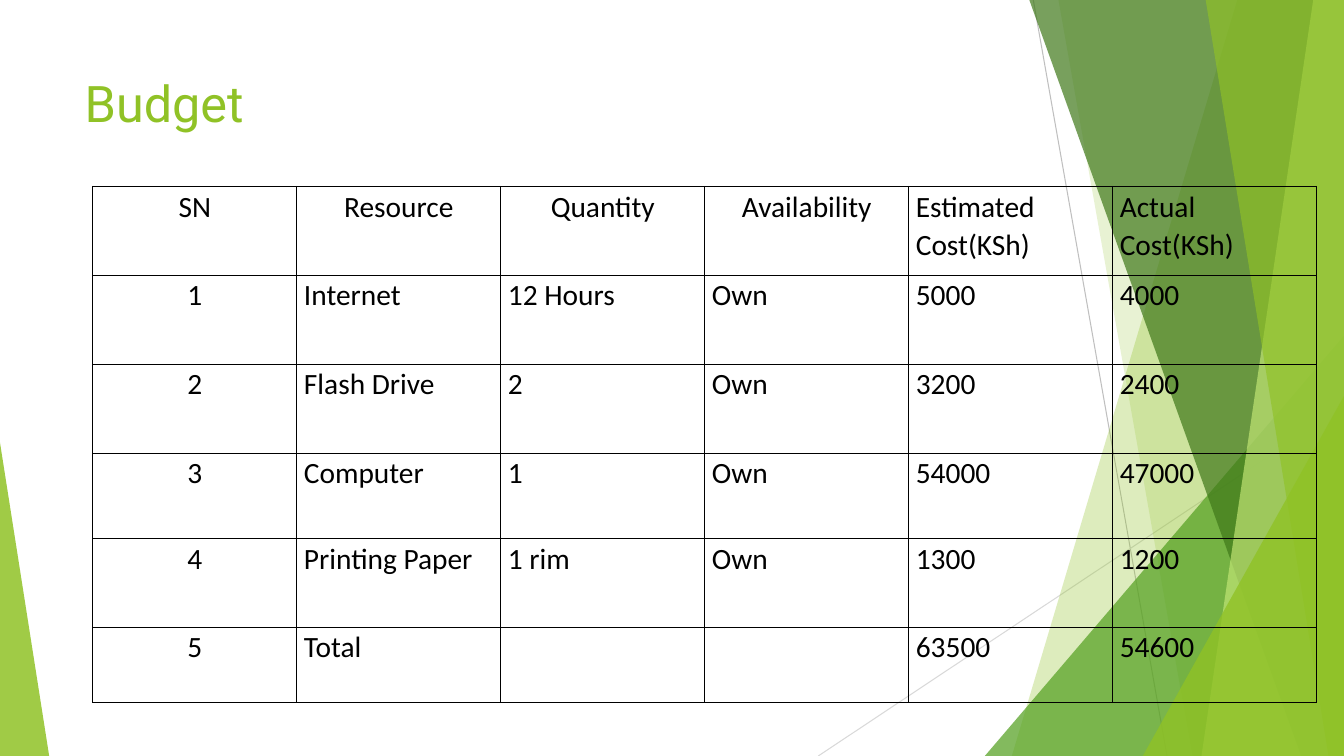
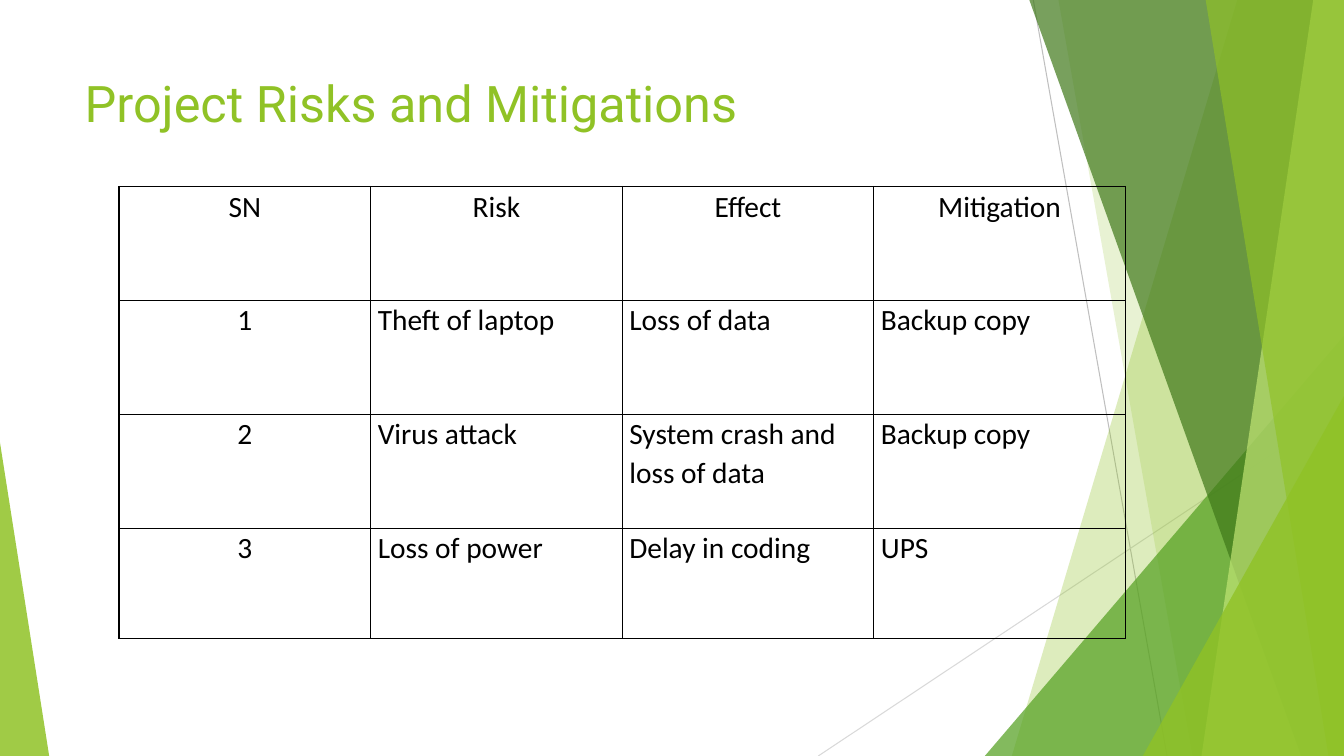
"""Build the budget and project risk slides with a shared green facet design."""
from lxml import etree
from pptx import Presentation
from pptx.dml.color import RGBColor
from pptx.enum.shapes import MSO_CONNECTOR, MSO_SHAPE
from pptx.enum.text import MSO_ANCHOR, PP_ALIGN
from pptx.oxml.ns import qn
from pptx.util import Cm, Pt

TRIANGLE = MSO_SHAPE.ISOSCELES_TRIANGLE
STRAIGHT = MSO_CONNECTOR.STRAIGHT
LEFT, CENTER = PP_ALIGN.LEFT, PP_ALIGN.CENTER
TOP = MSO_ANCHOR.TOP

LIME = RGBColor(0x90, 0xC2, 0x26)
GREEN = RGBColor(0x54, 0xA0, 0x21)
FOREST = RGBColor(0x3F, 0x78, 0x19)
PALE = RGBColor(0xC0, 0xE4, 0x74)
GREY = RGBColor(0xBF, 0xBF, 0xBF)
LIGHT_GREY = RGBColor(0xD9, 0xD9, 0xD9)
BLACK = RGBColor(0, 0, 0)

WIDTH, HEIGHT = 33.87, 19.05
BAND_TOP = -0.03
TABLE_TOP = 4.7

TITLE_BOX = {"left": Cm(1.88), "top": Cm(1.7), "width": Cm(23.88), "height": Cm(3.66)}
TITLE_FONT = {"name": "Roboto", "size": Pt(36), "bold": False}
CELL_FONT = {"name": "Calibri", "size": Pt(21), "bold": False}
CELL_BOX = {"margin_left": Cm(0.18), "margin_right": Cm(0.18),
            "margin_top": 0, "margin_bottom": 0, "vertical_anchor": TOP}

THIN_LINES = [
    (GREY, 26.04, 0, 29.41, HEIGHT),
    (LIGHT_GREY, WIDTH, 10.24, 20.62, HEIGHT),
]
FACETS = [
    ("band", LIME, 30, (31.19, 25.5)),
    ("band", LIME, 20, (26.67, 30.05)),
    ("triangle", GREEN, 72, (24.82, 8.46, 9.05, 1)),
    ("band", FOREST, 70, (25.93, 32.79)),
    ("band", PALE, 70, (33.1, 30.28)),
    ("band", LIME, 65, (30.38, 33.48)),
    ("triangle", LIME, 80, (28.8, 9.98, 5.07, 1)),
    ("triangle", LIME, 85, (0, 11.15, 1.24, 0)),
]
SLIDES = [
    {
        "title": "Budget",
        "left": 2.34,
        "col_width": 5.14,
        "row_heights": [2.24, 2.24, 2.24, 2.15, 2.24, 1.89],
        "rows": [
            ["SN", "Resource", "Quantity", "Availability",
             "Estimated Cost(KSh)", "Actual Cost(KSh)"],
            ["1", "Internet", "12 Hours", "Own", "5000", "4000"],
            ["2", "Flash Drive", "2", "Own", "3200", "2400"],
            ["3", "Computer", "1", "Own", "54000", "47000"],
            ["4", "Printing Paper", "1 rim", "Own", "1300", "1200"],
            ["5", "Total", "", "", "63500", "54600"],
        ],
    },
    {
        "title": "Project Risks and Mitigations",
        "left": 3,
        "col_width": 6.34,
        "row_heights": [2.87, 2.87, 2.87, 2.77],
        "rows": [
            ["SN", "Risk", "Effect", "Mitigation"],
            ["1", "Theft of laptop", "Loss of data", "Backup copy"],
            ["2", "Virus attack", "System crash and loss of data", "Backup copy"],
            ["3", "Loss of power", "Delay in coding", "UPS"],
        ],
    },
]


def apply(obj, values):
    for name, value in values.items():
        setattr(obj, name, value)


def write(p, text, font, color):
    r = p.add_run()
    r.text = text
    apply(r.font, font)
    r.font.color.rgb = color


prs = Presentation()
prs.slide_width, prs.slide_height = Cm(WIDTH), Cm(HEIGHT)
layout = prs.slide_layouts[5]
slides = [prs.slides.add_slide(layout) for _ in SLIDES]

facets = slides[0].shapes.add_group_shape()
for color, *ends in THIN_LINES:
    line = facets.shapes.add_connector(STRAIGHT, *[Cm(v) for v in ends])
    line.line.color.rgb = color
    line.line.width = Pt(0.75)
    etree.SubElement(line.element.spPr, qn("a:effectLst"))

for kind, color, opacity, geometry in FACETS:
    if kind == "band":
        top_x, bottom_x = geometry
        outline = facets.shapes.build_freeform(Cm(top_x), Cm(BAND_TOP))
        corners = [(WIDTH, BAND_TOP), (WIDTH, HEIGHT), (bottom_x, HEIGHT)]
        outline.add_line_segments([(Cm(x), Cm(y)) for x, y in corners], close=True)
        sp = outline.convert_to_shape()
    else:
        left, top, width, apex = geometry
        sp = facets.shapes.add_shape(
            TRIANGLE, Cm(left), Cm(top), Cm(width), Cm(HEIGHT - top))
        sp.adjustments[0] = apex
    sp.shadow.inherit = False
    sp.fill.solid()
    sp.fill.fore_color.rgb = color
    sp.line.fill.background()
    fill_color = sp.element.find(".//" + qn("a:srgbClr"))
    etree.SubElement(fill_color, qn("a:alpha"), val=str(opacity * 1000))

layout.shapes.element.append(facets.element)
for number, props in enumerate(layout.shapes.element.iter("{*}cNvPr"), 1):
    props.set("id", str(number))

for s, content in zip(slides, SLIDES):
    title = s.shapes.title
    apply(title, TITLE_BOX)
    title.text_frame.vertical_anchor = TOP
    p = title.text_frame.paragraphs[0]
    p.alignment = LEFT
    write(p, content["title"], TITLE_FONT, LIME)

    rows, heights = content["rows"], content["row_heights"]
    col_count = len(rows[0])
    frame = s.shapes.add_table(
        len(rows), col_count, Cm(content["left"]), Cm(TABLE_TOP),
        Cm(content["col_width"] * col_count), Cm(sum(heights)))
    table = frame.table
    apply(table, {"first_row": False, "horz_banding": False})
    for column in table.columns:
        column.width = Cm(content["col_width"])
    for i, (texts, height) in enumerate(zip(rows, heights)):
        table.rows[i].height = Cm(height)
        for j, text in enumerate(texts):
            cell = table.cell(i, j)
            apply(cell, CELL_BOX)
            cell.fill.background()
            if text:
                p = cell.text_frame.paragraphs[0]
                p.alignment = CENTER if j == 0 or (i == 0 and j < 4) else LEFT
                p.line_spacing = 1.07
                write(p, text, CELL_FONT, BLACK)

    for cell_props in frame.element.iter(qn("a:tcPr")):
        for k, side in enumerate(("a:lnL", "a:lnR", "a:lnT", "a:lnB")):
            border = etree.Element(qn(side), w=str(Pt(1)))
            fill = etree.SubElement(border, qn("a:solidFill"))
            etree.SubElement(fill, qn("a:srgbClr"), val=str(BLACK))
            cell_props.insert(k, border)

prs.save("out.pptx")
